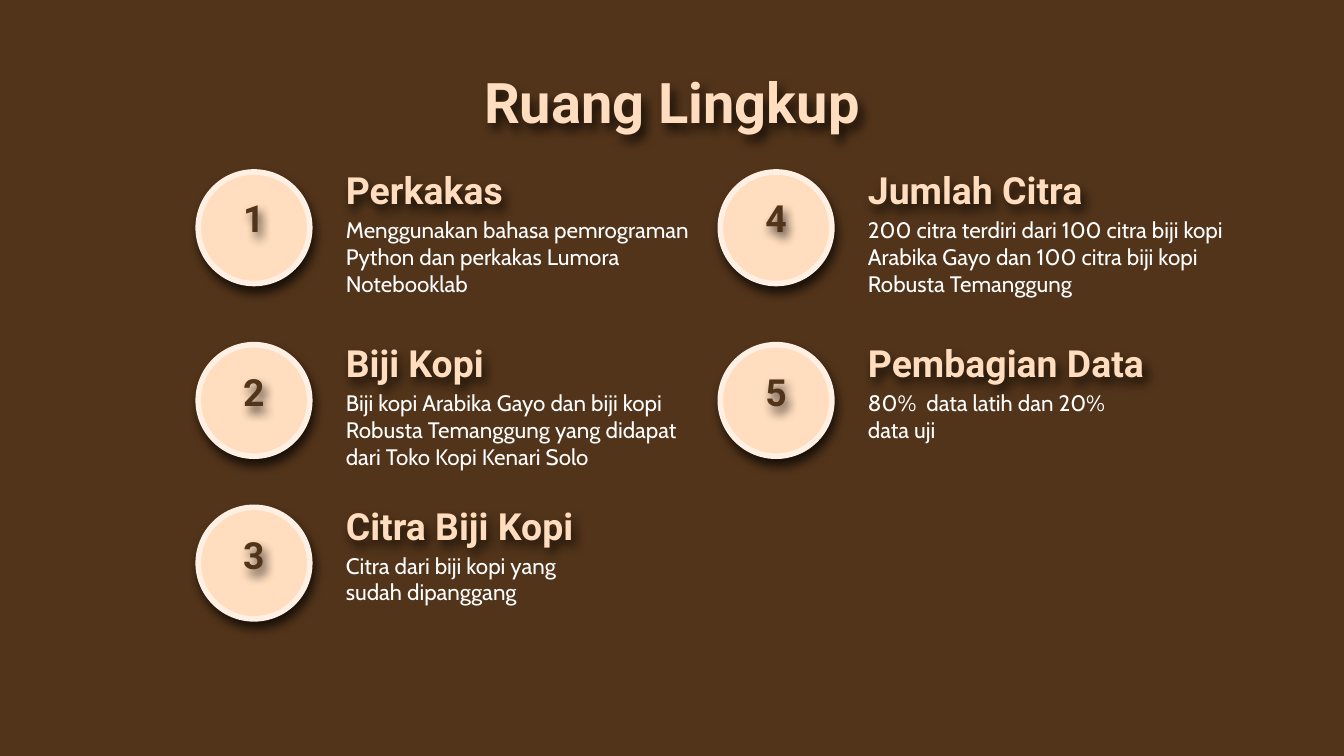
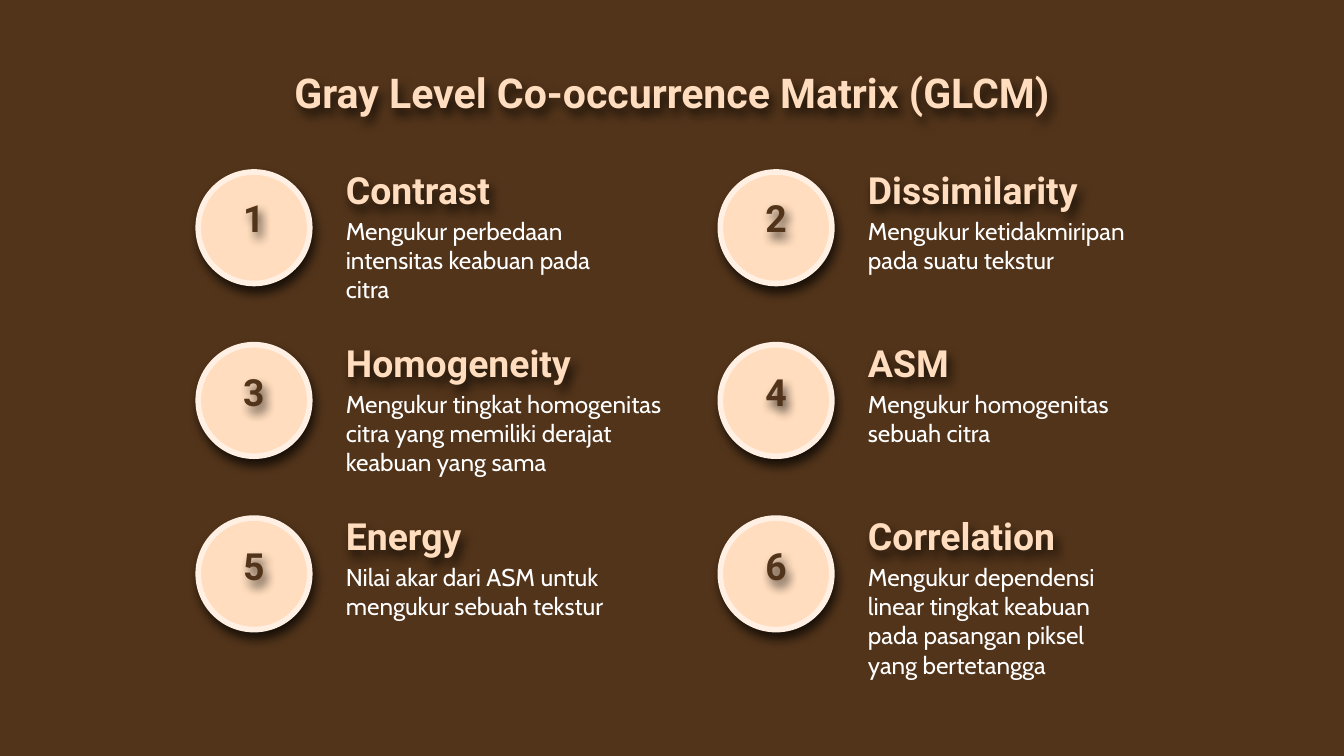
from lxml import etree
from pptx import Presentation
from pptx.dml.color import RGBColor
from pptx.enum.shapes import MSO_SHAPE as SHAPE
from pptx.enum.text import MSO_ANCHOR as ANCHOR, PP_ALIGN as ALIGN
from pptx.oxml.ns import qn
from pptx.util import Emu, Pt

BROWN, PEACH, CREAM, WHITE = "52341A", "FFDDBE", "FFF0E3", "FFFFFF"
HEAD, BODY = "Roboto", "Cabin"
WIDE, HIGH = 2000, 1125
COLS = (295, 1072)
DISC = 166
PAD = 20

# Each item: column, row, heading, heading width, text, text width
SLIDES = [
    dict(title="Ruang Lingkup", title_size=30, body_size=12, tops=(256, 513, 755), items=[
        (0, 0, "Perkakas", 434,
         "Menggunakan bahasa pemrograman Python dan perkakas Lumora Notebooklab", 578),
        (0, 1, "Biji Kopi", 434,
         "Biji kopi Arabika Gayo dan biji kopi Robusta Temanggung yang didapat "
         "dari Toko Kopi Kenari Solo", 540),
        (0, 2, "Citra Biji Kopi", 508, "Citra dari biji kopi yang sudah dipanggang", 434),
        (1, 0, "Jumlah Citra", 434,
         "200 citra terdiri dari 100 citra biji kopi Arabika Gayo dan 100 citra "
         "biji kopi Robusta Temanggung", 652),
        (1, 1, "Pembagian Data", 508, "80%  data latih dan 20% data uji", 434),
    ]),
    dict(title="Gray Level Co-occurrence Matrix (GLCM)", title_size=22, body_size=13,
         tops=(256, 513, 771), items=[
        (0, 0, "Contrast", 434, "Mengukur perbedaan intensitas keabuan pada citra", 434),
        (1, 0, "Dissimilarity", 434, "Mengukur ketidakmiripan pada suatu tekstur", 480),
        (0, 1, "Homogeneity", 434,
         "Mengukur tingkat homogenitas citra yang memiliki derajat keabuan yang sama", 548),
        (1, 1, "ASM", 434, "Mengukur homogenitas sebuah citra", 434),
        (0, 2, "Energy", 434, "Nilai akar dari ASM untuk mengukur sebuah tekstur", 502),
        (1, 2, "Correlation", 434,
         "Mengukur dependensi linear tingkat keabuan pada pasangan piksel yang bertetangga", 434),
    ]),
]


def px(n):
    return Emu(n * 4572)


def rgb(code):
    return RGBColor.from_string(code)


def cast(shape, angle):
    """Give the shape, or the text of an unfilled box, a soft black shadow."""
    shape.shadow.inherit = False
    effects = shape._element.spPr.find(qn("a:effectLst"))
    shadow = etree.SubElement(effects, qn("a:outerShdw"), blurRad=str(Pt(5.6)),
                              dist=str(Pt(3.8)), dir=str(angle * 60000),
                              algn="bl", rotWithShape="0")
    black = etree.SubElement(shadow, qn("a:srgbClr"), val="000000")
    etree.SubElement(black, qn("a:alpha"), val="70000")


def write(slide, box, text, size, color, font=HEAD, align=ALIGN.LEFT, anchor=ANCHOR.TOP):
    shape = slide.shapes.add_textbox(*map(px, box))
    frame = shape.text_frame
    frame.word_wrap = True
    frame.vertical_anchor = anchor
    frame.margin_left = frame.margin_right = px(PAD)
    frame.margin_top = frame.margin_bottom = px(PAD)
    par = frame.paragraphs[0]
    par.text = text
    par.alignment = align
    par.font.name, par.font.size = font, Pt(size)
    par.font.bold = font == HEAD
    par.font.color.rgb = rgb(color)
    if font == HEAD:
        cast(shape, 60)


def draw_disc(slide, x, y, num, row):
    disc = slide.shapes.add_shape(SHAPE.ROUNDED_RECTANGLE, *map(px, (x, y, DISC, DISC)))
    disc.adjustments[0] = 0.5
    disc.fill.solid()
    disc.fill.fore_color.rgb = rgb(PEACH)
    disc.line.color.rgb = rgb(CREAM)
    disc.line.width = Pt(3)
    cast(disc, 70)
    drop = 17 if row else 14
    write(slide, (x + 3, y + drop, 160, 100), str(num), 20, BROWN, align=ALIGN.CENTER)


def build(deck, data):
    slide = deck.slides.add_slide(deck.slide_layouts[6])
    slide.background.fill.solid()
    slide.background.fill.fore_color.rgb = rgb(BROWN)
    write(slide, (157, 80, 1686, 120), data["title"], data["title_size"], PEACH,
          align=ALIGN.CENTER)
    for num, (col, row, head, head_w, text, text_w) in enumerate(data["items"], 1):
        x, y = COLS[col], data["tops"][row]
        draw_disc(slide, x, y, num, row)
        write(slide, (x + 200, y, head_w, 80), head, 20, PEACH, anchor=ANCHOR.BOTTOM)
        write(slide, (x + 200, y + 46, text_w, 120), text, data["body_size"], WHITE, BODY)


def main():
    deck = Presentation()
    deck.slide_width, deck.slide_height = px(WIDE), px(HIGH)
    for data in SLIDES:
        build(deck, data)
    deck.save("out.pptx")


if __name__ == "__main__":
    main()
